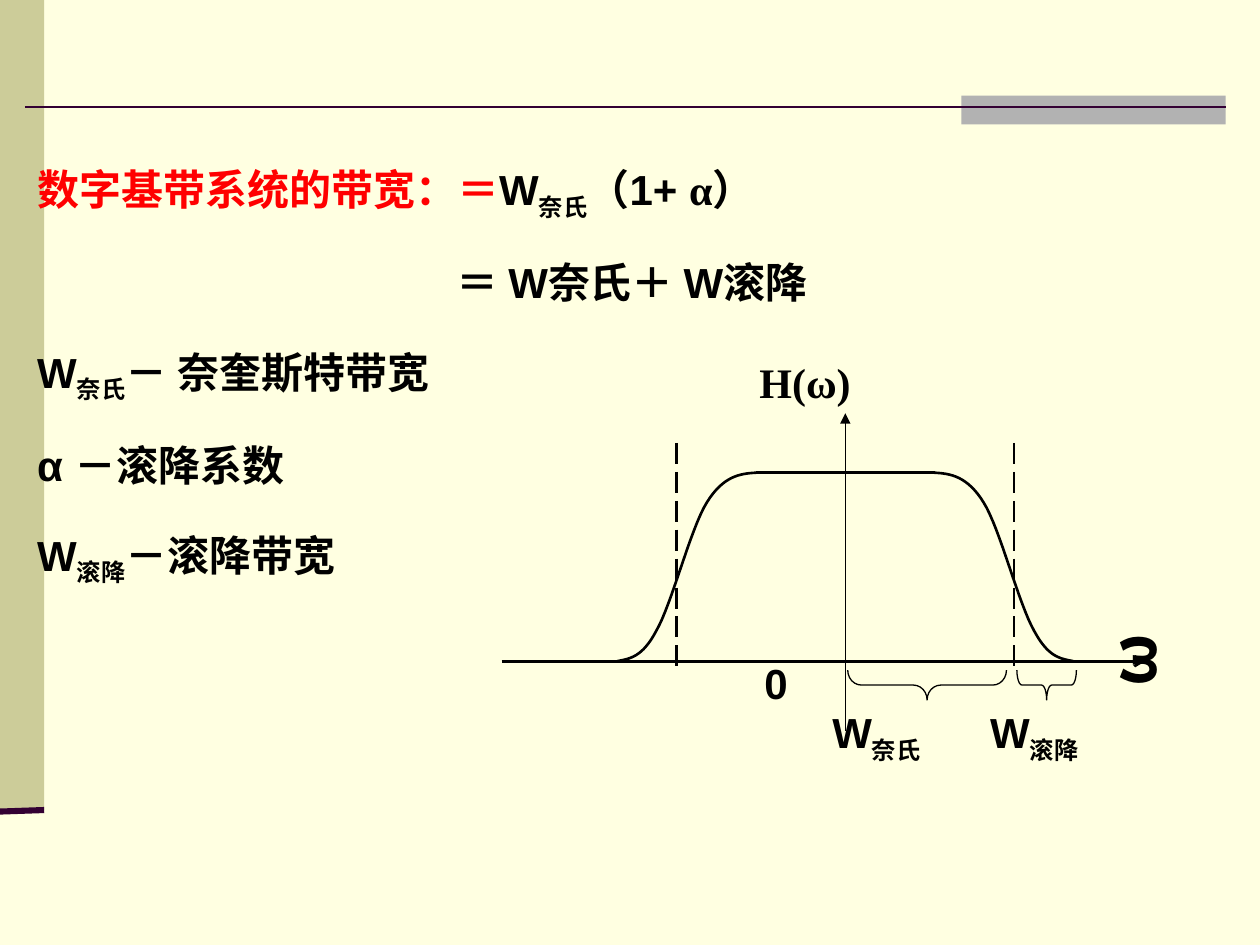
from dataclasses import dataclass

from lxml import etree
from pptx import Presentation
from pptx.dml.color import RGBColor
from pptx.enum.dml import MSO_LINE
from pptx.enum.shapes import MSO_CONNECTOR, MSO_SHAPE
from pptx.oxml.ns import qn
from pptx.util import Cm, Pt

RECT = MSO_SHAPE.RECTANGLE
BRACE = MSO_SHAPE.LEFT_BRACE
STRAIGHT = MSO_CONNECTOR.STRAIGHT
LONG_DASH = MSO_LINE.LONG_DASH


@dataclass(frozen=True)
class Theme:
    paper: str = "FFFFE1"
    band: str = "CCCC99"
    tab: str = "B2B2B2"
    rule: str = "330033"
    ink: str = "000000"
    accent: str = "FF0000"
    sans: str = "Arial"
    serif: str = "Times New Roman"
    cjk: str = "Noto Sans CJK SC"
    body: int = 24
    symbol: int = 36


THEME = Theme()


def add_block(slide, left, top, width, height, color):
    sp = slide.shapes.add_shape(RECT, Cm(left), Cm(top), Cm(width), Cm(height))
    sp.shadow.inherit = False
    sp.fill.solid()
    sp.fill.fore_color.rgb = RGBColor.from_string(color)
    sp.line.fill.background()


def add_line(slide, start, end, color=THEME.ink, width=1.5, dash=None, head=None):
    c = slide.shapes.add_connector(STRAIGHT, *(Cm(v) for v in (*start, *end)))
    c.line.color.rgb = RGBColor.from_string(color)
    c.line.width = Pt(width)
    if dash:
        c.line.dash_style = dash
    if head:
        etree.SubElement(c.line._get_or_add_ln(), qn("a:tailEnd"), type=head)
    etree.SubElement(c._element.spPr, qn("a:effectLst"))


def add_run(p, text, font=THEME.sans, size=THEME.body, color=THEME.ink, sub=False):
    r = p.add_run()
    r.text = text
    r.font.name = font
    r.font.size = Pt(size)
    r.font.bold = True
    r.font.color.rgb = RGBColor.from_string(color)
    rPr = r.font._element
    etree.SubElement(rPr, qn("a:ea"), typeface=THEME.cjk)
    if sub:
        rPr.set("baseline", "-25000")


def add_text(slide, left, top, width, height, paragraphs, spacing=1.0):
    """Each paragraph is (left margin in cm, [(text, run format), ...])."""
    tf = slide.shapes.add_textbox(Cm(left), Cm(top), Cm(width), Cm(height)).text_frame
    tf.word_wrap = True
    for i, (margin, runs) in enumerate(paragraphs):
        p = tf.add_paragraph() if i else tf.paragraphs[0]
        p.line_spacing = spacing
        p.space_before = Pt(6 if i else 0)
        p._p.get_or_add_pPr().set("marL", str(Cm(margin)))
        for text, fmt in runs:
            add_run(p, text, **fmt)
    return tf


def add_label(slide, left, top, text, sub=""):
    runs = [(text, {})] + ([(sub, {"sub": True})] if sub else [])
    add_text(slide, left, top, 4.4, 1.4, [(0, runs)])


def add_brace(slide, center_x, center_y, length, curve):
    """Brace lying flat with its point downwards."""
    depth = 0.6
    sp = slide.shapes.add_shape(BRACE, Cm(center_x - depth / 2), Cm(center_y - length / 2),
                                Cm(depth), Cm(length))
    sp.rotation = 270
    sp.adjustments[0] = curve
    sp.shadow.inherit = False
    sp.fill.background()
    sp.line.color.rgb = RGBColor.from_string(THEME.ink)
    sp.line.width = Pt(0.75)


def bezier(p0, p1, p2, p3, steps=16):
    for i in range(1, steps + 1):
        t = i / steps
        u = 1 - t
        yield tuple(u**3 * a + 3 * u * u * t * b + 3 * u * t * t * c + t**3 * d
                    for a, b, c, d in zip(p0, p1, p2, p3))


def add_rolloff(slide, ox, oy, side):
    """Slope from the plateau to the axis; side is 1 for right, -1 for left."""
    knots = [(1.8, 3.8), (2.13, 3.78), (2.46, 3.73), (2.79, 3.2), (3.12, 2.67),
             (3.5, 1.14), (3.81, 0.61), (4.09, 0.08), (4.34, 0.05), (4.6, 0)]
    points = [knots[0]]
    for i in range(0, len(knots) - 1, 3):
        points += bezier(*knots[i:i + 4])
    points = [(Cm(ox + side * x), Cm(oy - y)) for x, y in points]
    builder = slide.shapes.build_freeform(*points[0])
    builder.add_line_segments(points[1:], close=False)
    sp = builder.convert_to_shape()
    sp.shadow.inherit = False
    sp.fill.background()
    sp.line.color.rgb = RGBColor.from_string(THEME.ink)
    sp.line.width = Pt(1.5)


def draw_frame(slide):
    add_block(slide, 0, 0, 0.89, 16.33, THEME.band)
    add_block(slide, 19.38, 1.93, 5.33, 0.58, THEME.tab)
    add_line(slide, (0.5, 2.16), (24.71, 2.16), THEME.rule)
    add_line(slide, (0, 16.36), (0.89, 16.33), THEME.rule, 3.5)


def draw_formulas(slide, left, top, width, height):
    sub = {"sub": True}
    add_text(slide, left, top, width, height, [
        (0, [("数字基带系统的带宽：＝", {"color": THEME.accent}), ("W", {}), ("奈氏", sub),
             ("（1+ ", {}), ("α）", {"font": THEME.serif})]),
        (8.46, [("＝ W奈氏＋ W滚降", {})]),
        (0, [("W", {}), ("奈氏", sub), ("－ 奈奎斯特带宽", {})]),
        (0, [("α －滚降系数", {})]),
        (0, [("W", {}), ("滚降", sub), ("－滚降带宽", {})]),
    ], spacing=1.5)


def draw_spectrum(slide, left, top):
    ox, oy = left + 6.93, top + 6.27
    cutoff, plateau = 3.4, 1.8
    add_line(slide, (left, oy), (ox + 6.05, oy), head="arrow")
    add_line(slide, (ox, oy + 1.4), (ox, oy - 5), width=0.75, head="triangle")
    add_line(slide, (ox - plateau, oy - 3.8), (ox + plateau, oy - 3.8))
    for side in (1, -1):
        add_rolloff(slide, ox, oy, side)
        x = ox + side * cutoff
        add_line(slide, (x, oy - 4.4), (x, oy + 0.2), dash=LONG_DASH)

    add_brace(slide, ox + 1.65, oy + 0.48, 3.2, 0.46)
    add_brace(slide, ox + 4.06, oy + 0.48, 1.2, 0.17)
    add_label(slide, ox - 0.51, oy + 0.79, "W", "奈氏")
    add_label(slide, ox + 2.67, oy + 0.79, "W", "滚降")
    add_label(slide, ox - 1.88, oy - 0.2, "0")
    add_text(slide, ox - 1.98, top, 4.24, 1.27, [(0, [("H(ω)", {"font": THEME.serif})])])

    omega = {"font": THEME.cjk, "size": THEME.symbol}
    tf = add_text(slide, ox + 5, oy - 1.02, 3.5, 1.78, [(0, [("ω", omega)])])
    tf.margin_left = 0
    tf._txBody.bodyPr.set("vert", "vert270")


def main():
    prs = Presentation()
    prs.slide_width, prs.slide_height = Cm(25.4), Cm(19.05)
    slide = prs.slides.add_slide(prs.slide_layouts[6])
    fill = slide.background.fill
    fill.solid()
    fill.fore_color.rgb = RGBColor.from_string(THEME.paper)
    draw_frame(slide)
    draw_formulas(slide, 0.5, 2.6, 20.45, 9.35)
    draw_spectrum(slide, 10.11, 7.06)
    prs.save("out.pptx")


if __name__ == "__main__":
    main()
